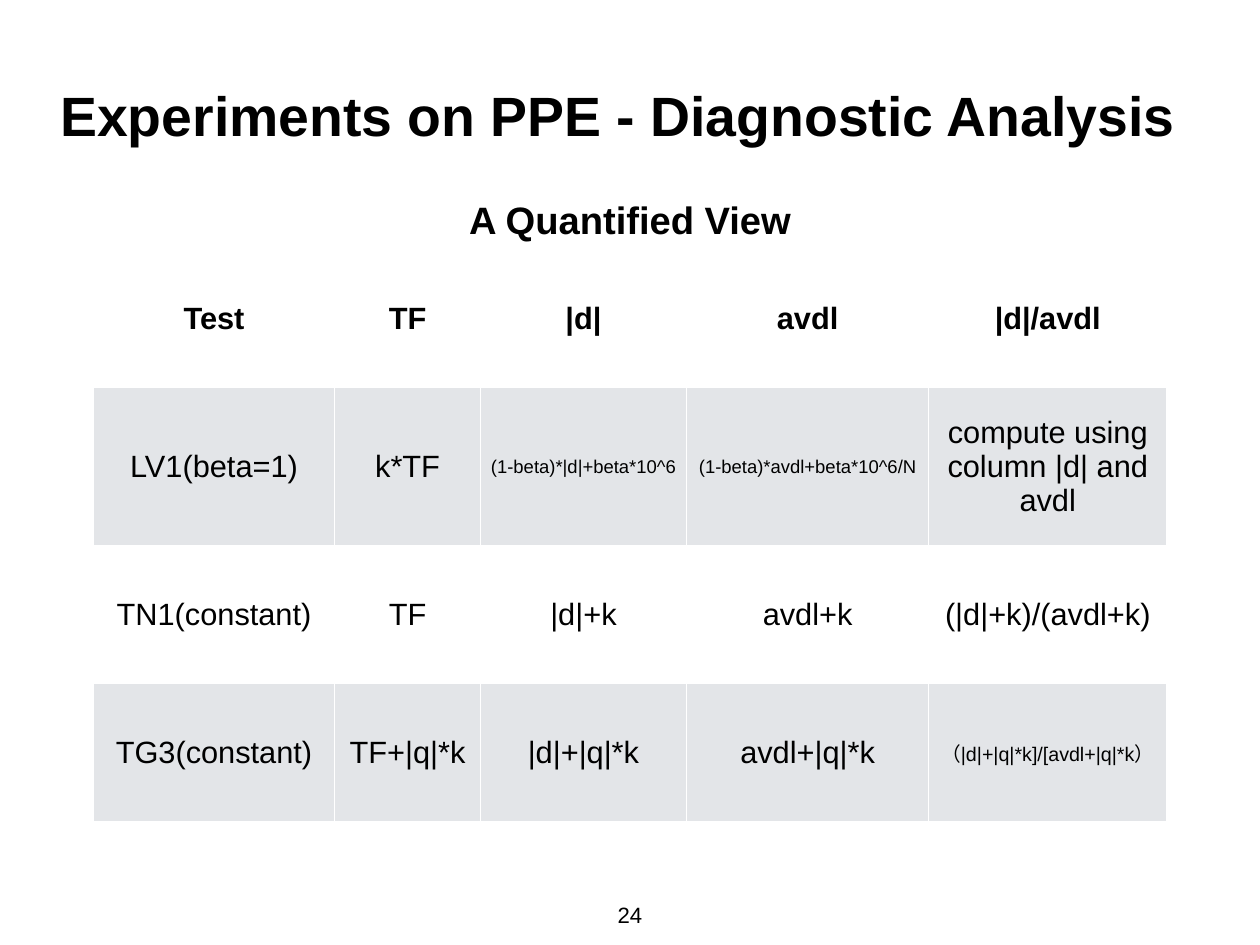
from pptx import Presentation
from pptx.dml.color import RGBColor
from pptx.enum.text import MSO_ANCHOR, MSO_AUTO_SIZE, PP_ALIGN
from pptx.util import Inches, Pt

LEFT, CENTER = PP_ALIGN.LEFT, PP_ALIGN.CENTER
TOP, MIDDLE = MSO_ANCHOR.TOP, MSO_ANCHOR.MIDDLE
NO_AUTOFIT, GROW = MSO_AUTO_SIZE.NONE, MSO_AUTO_SIZE.SHAPE_TO_FIT_TEXT

SLIDE_WIDTH, SLIDE_HEIGHT = 14.22, 10.67
MARGIN = Inches(0.06)
BLACK, WHITE, BAND = "000000", "FFFFFF", "E3E5E8"
COLUMN_WIDTHS = [2.73, 1.64, 2.33, 2.73, 2.69]
ROW_HEIGHTS = [1.56, 1.78, 1.56, 1.56]
BODY_SIZE = 25
TESTS = [
    ["Test", "TF", "|d|", "avdl", "|d|/avdl"],
    ["LV1(beta=1)", "k*TF", "(1-beta)*|d|+beta*10^6",
     "(1-beta)*avdl+beta*10^6/N", "compute using column |d| and avdl"],
    ["TN1(constant)", "TF", "|d|+k", "avdl+k", "(|d|+k)/(avdl+k)"],
    ["TG3(constant)", "TF+|q|*k", "|d|+|q|*k", "avdl+|q|*k",
     "（|d|+|q|*k]/[avdl+|q|*k）"],
]
SMALL_SIZES = {(1, 2): 15, (1, 3): 15, (3, 4): 16}


def color(hex_code):
    """Turn a hex string into a colour."""
    return RGBColor.from_string(hex_code)


def set_margins(holder):
    """Give a text frame or table cell the same narrow margin on every side."""
    holder.margin_left = holder.margin_right = MARGIN
    holder.margin_top = holder.margin_bottom = MARGIN


def write(text_frame, text, size, bold=False, alignment=CENTER):
    """Write one formatted paragraph."""
    text_frame.text = text
    paragraph = text_frame.paragraphs[0]
    paragraph.alignment = alignment
    paragraph.font.name = "Arial"
    paragraph.font.size = Pt(size)
    paragraph.font.bold = bold
    paragraph.font.color.rgb = color(BLACK)


def place_title(slide, text):
    """Move and format the title placeholder."""
    title = slide.shapes.title
    title.left, title.top = Inches(0.62), Inches(0.11)
    title.width, title.height = Inches(12.99), Inches(2.36)
    text_frame = title.text_frame
    set_margins(text_frame)
    text_frame.auto_size = NO_AUTOFIT
    text_frame.vertical_anchor = MIDDLE
    write(text_frame, text, 45, bold=True, alignment=LEFT)


def add_label(slide, text, center, top, width, height, size, bold, anchor):
    """Add an unwrapped label centred on a horizontal position."""
    box = slide.shapes.add_textbox(Inches(center - width / 2), Inches(top),
                                   Inches(width), Inches(height))
    text_frame = box.text_frame
    set_margins(text_frame)
    text_frame.word_wrap = False
    text_frame.auto_size = GROW
    text_frame.vertical_anchor = anchor
    write(text_frame, text, size, bold)


def add_test_table(slide, left, top):
    """Add the table of tests with alternating row fills."""
    table = slide.shapes.add_table(
        len(ROW_HEIGHTS), len(COLUMN_WIDTHS), Inches(left), Inches(top),
        Inches(sum(COLUMN_WIDTHS)), Inches(sum(ROW_HEIGHTS))).table
    table.first_row = table.horz_banding = False
    for column, width in zip(table.columns, COLUMN_WIDTHS):
        column.width = Inches(width)
    for row_index, (row, height) in enumerate(zip(table.rows, ROW_HEIGHTS)):
        row.height = Inches(height)
        for column_index, cell in enumerate(row.cells):
            set_margins(cell)
            cell.vertical_anchor = MIDDLE
            cell.fill.solid()
            cell.fill.fore_color.rgb = color(BAND if row_index % 2 else WHITE)
            size = SMALL_SIZES.get((row_index, column_index), BODY_SIZE)
            write(cell.text_frame, TESTS[row_index][column_index], size,
                  bold=row_index == 0)


def main():
    """Build and save the slide."""
    presentation = Presentation()
    presentation.slide_width = Inches(SLIDE_WIDTH)
    presentation.slide_height = Inches(SLIDE_HEIGHT)
    slide = presentation.slides.add_slide(presentation.slide_layouts[5])
    middle = SLIDE_WIDTH / 2
    place_title(slide, "Experiments on PPE - Diagnostic Analysis")
    add_label(slide, "24", middle, 10.12, 0.4, 0.42, 18, False, TOP)
    add_label(slide, "A Quantified View", middle, 2.16, 3.76, 0.63, 31, True,
              MIDDLE)
    add_test_table(slide, (SLIDE_WIDTH - sum(COLUMN_WIDTHS)) / 2, 2.82)
    presentation.save("out.pptx")


if __name__ == "__main__":
    main()
